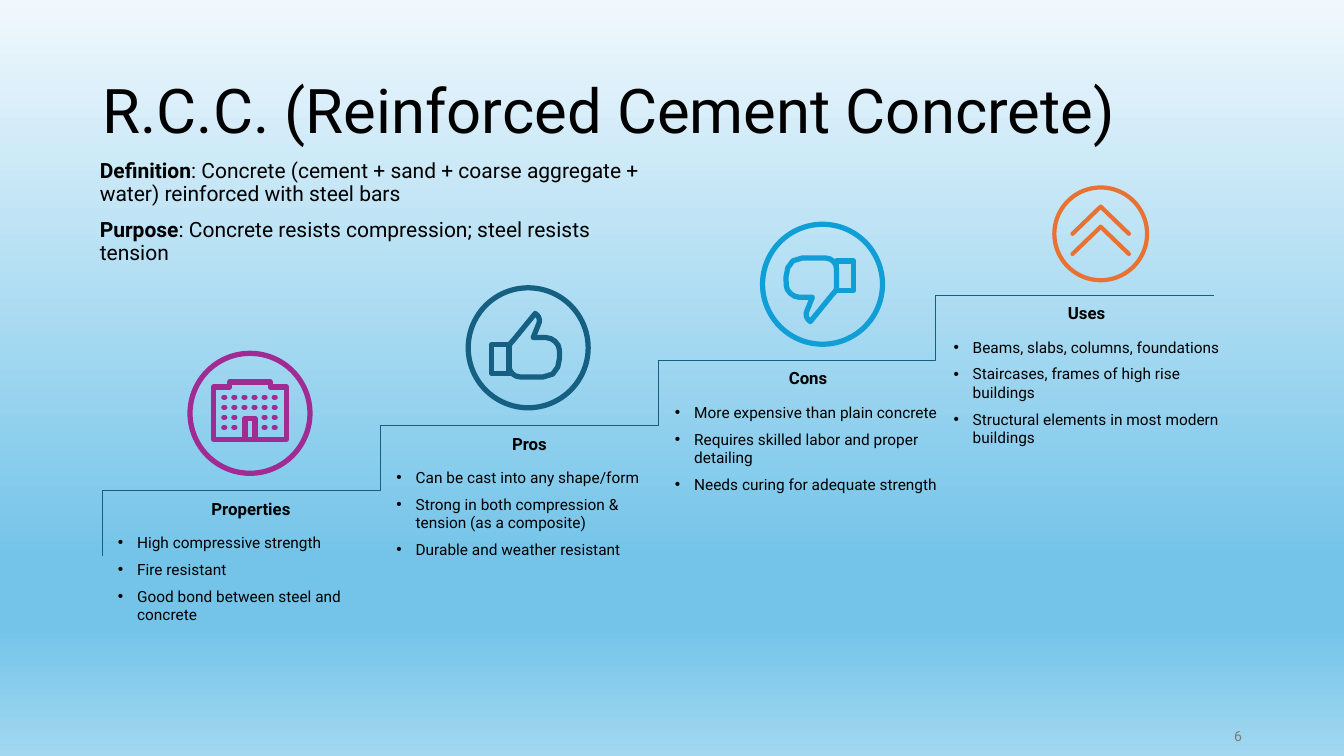
from dataclasses import dataclass

from lxml.etree import SubElement
from pptx import Presentation
from pptx.dml.color import RGBColor
from pptx.enum.shapes import MSO_SHAPE
from pptx.enum.text import MSO_ANCHOR, MSO_AUTO_SIZE, PP_ALIGN
from pptx.oxml.ns import qn
from pptx.util import Inches, Pt


@dataclass(frozen=True)
class Theme:
    font: str = "Roboto"
    ink: str = "000000"
    muted: str = "797979"
    stair: str = "156082"
    plum: str = "A02B93"
    blue: str = "0F9ED5"
    orange: str = "E97132"
    sky: tuple = ((0, "F0F8FD"), (74, "74C4E9"), (83, "74C4E9"), (100, "A2D8F0"))
    title: int = 44
    intro: int = 15
    head: int = 12
    item: int = 11
    page: int = 10
    thin: float = 0.75
    thick: float = 3.75


THEME = Theme()
STAIR_W = 11.02 / 4
TEXT_W = 8.29 / 3
RISE = 1.94 / 3
STEPS = (
    ("Properties", ("High compressive strength", "Fire resistant",
                    "Good bond between steel and concrete")),
    ("Pros", ("Can be cast into any shape/form",
              "Strong in both compression & tension (as a composite)",
              "Durable and weather resistant")),
    ("Cons", ("More expensive than plain concrete",
              "Requires skilled labor and proper detailing",
              "Needs curing for adequate strength")),
    ("Uses", ("Beams, slabs, columns, foundations",
              "Staircases, frames of high rise buildings",
              "Structural elements in most modern buildings")),
)
INTRO = (
    (("Definition", True),
     (": Concrete (cement + sand + coarse aggregate + water) reinforced with steel bars", False)),
    (("Purpose", True), (": Concrete resists compression; steel resists tension", False)),
)
# Offsets from the icon's centre; a six-number entry is a Bezier curve.
CUFF = ((-.19, -.03), (-.36, -.03), (-.36, .26), (-.19, .26))
HAND = (
    (-.19, 0), (-.19, -.03, -.17, -.05, -.15, -.07), (.07, -.34),
    (.1, -.32, .12, -.29, .11, -.25), (.05, -.1), (.18, -.1),
    (.24, -.1, .31, -.04, .31, .02), (.32, .12, .31, .29, .15, .29),
    (-.08, .29), (-.14, .29, -.19, .24, -.19, .18),
)
HOUSE = ((-.36, -.26), (-.2, -.26), (-.2, -.31), (.2, -.31),
         (.2, -.26), (.36, -.26), (.36, .26), (-.36, .26))
DOOR = ((-.05, .26), (-.05, .05), (.05, .05), (.05, .26))
PEAKS = tuple(((-.28, y), (0, y - .27), (.28, y)) for y in (.2, 0))


def place(shape, x, y, w, h):
    shape.left, shape.top, shape.width, shape.height = map(Inches, (x, y, w, h))


def write(frame, paras, size, color=THEME.ink, bold=False, align=PP_ALIGN.LEFT,
          line=1.0, before=0, mark=None, anchor=MSO_ANCHOR.TOP, inset=True):
    """Fill a frame; a paragraph is a string or a row of (text, bold) runs."""
    frame.word_wrap = True
    frame.auto_size = MSO_AUTO_SIZE.NONE
    frame.vertical_anchor = anchor
    frame.margin_left = frame.margin_right = Inches(0.1 if inset else 0)
    frame.margin_top = frame.margin_bottom = Inches(0.05 if inset else 0)
    for i, runs in enumerate(paras):
        para = frame.paragraphs[0] if i == 0 else frame.add_paragraph()
        props = para._p.get_or_add_pPr()
        dent = Inches(0.19) if mark else 0
        props.set("marL", str(dent))
        props.set("indent", str(-dent))
        if mark:
            SubElement(props, qn("a:buFont"), typeface="Arial")
            SubElement(props, qn("a:buChar"), char=mark)
        else:
            SubElement(props, qn("a:buNone"))
        para.alignment, para.line_spacing = align, line
        para.space_before = Pt(before if i else 0)
        for text, strong in ([(runs, bold)] if isinstance(runs, str) else runs):
            run = para.add_run()
            run.text = text
            font = run.font
            font.name, font.size, font.bold = THEME.font, Pt(size), strong
            font.color.rgb = RGBColor.from_string(color)


def label(slide, x, y, w, h, paras, **form):
    box = slide.shapes.add_textbox(*map(Inches, (x, y, w, h)))
    write(box.text_frame, paras, **form)


def outline(shape, color, width):
    shape.shadow.inherit = False
    shape.fill.background()
    shape.line.color.rgb = RGBColor.from_string(color)
    shape.line.width = Pt(width)


def trace(points):
    """Turn lines and curves into plain points."""
    out = [points[0]]
    for step in points[1:]:
        if len(step) == 2:
            out.append(step)
            continue
        ax, ay = out[-1]
        bx, by, cx, cy, dx, dy = step
        for t in (0.25, 0.5, 0.75, 1):
            a, b, c, d = (1 - t) ** 3, 3 * t * (1 - t) ** 2, 3 * t * t * (1 - t), t ** 3
            out.append((a * ax + b * bx + c * cx + d * dx,
                        a * ay + b * by + c * cy + d * dy))
    return out


def stroke(slide, parts, color, width=THEME.thick, at=(0, 0), turn=1, close=False):
    """Draw several outlines as one shape; turn=-1 spins it by half a turn."""
    pen = None
    for part in parts:
        spots = [(Inches(at[0] + turn * x), Inches(at[1] + turn * y))
                 for x, y in trace(part)]
        if pen is None:
            pen = slide.shapes.build_freeform(*spots[0], scale=1.0)
        else:
            pen.move_to(*spots[0])
        pen.add_line_segments(spots[1:], close=close)
    shape = pen.convert_to_shape()
    outline(shape, color, width)
    if width > 1:
        edge = shape.line._get_or_add_ln()
        edge.set("cap", "rnd")
        SubElement(edge, qn("a:round"))


def ring(slide, x, y, size, color, width=THEME.thick):
    half = size / 2
    oval = slide.shapes.add_shape(
        MSO_SHAPE.OVAL, *map(Inches, (x - half, y - half, size, size)))
    outline(oval, color, width)


def house(slide, x, y, color):
    """Draw a building whose windows are dots made by round line ends."""
    ring(slide, x, y, 1.19, color)
    spots = [(col * 0.1 - 0.26, row * 0.1 - 0.16) for row in range(4)
             for col in range(6) if row < 2 or col not in (2, 3)]
    panes = [((left, top), (left + 0.01, top)) for left, top in spots]
    stroke(slide, [HOUSE + HOUSE[:1], DOOR, *panes], color, at=(x, y))


def thumb(slide, x, y, color, turn=1, shift=(0, 0)):
    ring(slide, x, y, 1.19, color)
    stroke(slide, [CUFF, HAND], color, at=(x + shift[0], y + shift[1]),
           turn=turn, close=True)


def peaks(slide, x, y, color):
    ring(slide, x, y, 0.92, color, 3)
    stroke(slide, PEAKS, color, 3, at=(x, y))


def paint(slide):
    fill = slide.background.fill
    fill.gradient()
    fill.gradient_angle = 270
    stops = slide.background._cSld.find(".//" + qn("a:gsLst"))
    for old in list(stops):
        stops.remove(old)
    for pos, color in THEME.sky:
        stop = SubElement(stops, qn("a:gs"), pos=str(pos * 1000))
        SubElement(stop, qn("a:srgbClr"), val=color)


def stairs(slide):
    spots = [(1.02, 5.52)]
    for i, (head, items) in enumerate(STEPS):
        x, rise = 1.17 + i * TEXT_W, i * RISE
        label(slide, x, 4.96 - rise, 2.64, 0.19, [head], size=THEME.head, bold=True,
              align=PP_ALIGN.CENTER, line=0.95, inset=False)
        label(slide, x, 5.29 - rise, 2.64, 0.91, items, size=THEME.item,
              before=6, mark="•", inset=False)
        left = 1.02 + i * STAIR_W
        spots += [(left, 4.87 - rise), (left + STAIR_W, 4.87 - rise)]
    stroke(slide, [spots], THEME.stair, THEME.thin)


def main():
    deck = Presentation()
    deck.slide_width, deck.slide_height = Inches(40 / 3), Inches(7.5)
    slide = deck.slides.add_slide(deck.slide_layouts[1])
    paint(slide)
    title, body = slide.shapes.title, slide.placeholders[1]
    place(title, 0.92, 0.4, 11.5, 1.45)
    write(title.text_frame, ["R.C.C. (Reinforced Cement Concrete)"], THEME.title,
          line=0.9, anchor=MSO_ANCHOR.MIDDLE)
    place(body, 0.89, 1.54, 5.69, 1.2)
    write(body.text_frame, INTRO, THEME.intro, line=0.9, before=10)
    stairs(slide)
    house(slide, 2.48, 4.1, THEME.plum)
    thumb(slide, 5.24, 3.45, THEME.stair)
    thumb(slide, 8.16, 2.82, THEME.blue, turn=-1, shift=(-0.05, 0.03))
    peaks(slide, 10.92, 2.32, THEME.orange)
    label(slide, 9.42, 7.1, 3, 0.4, ["6"], size=THEME.page, color=THEME.muted,
          align=PP_ALIGN.RIGHT, anchor=MSO_ANCHOR.MIDDLE)
    deck.save("out.pptx")


if __name__ == "__main__":
    main()
